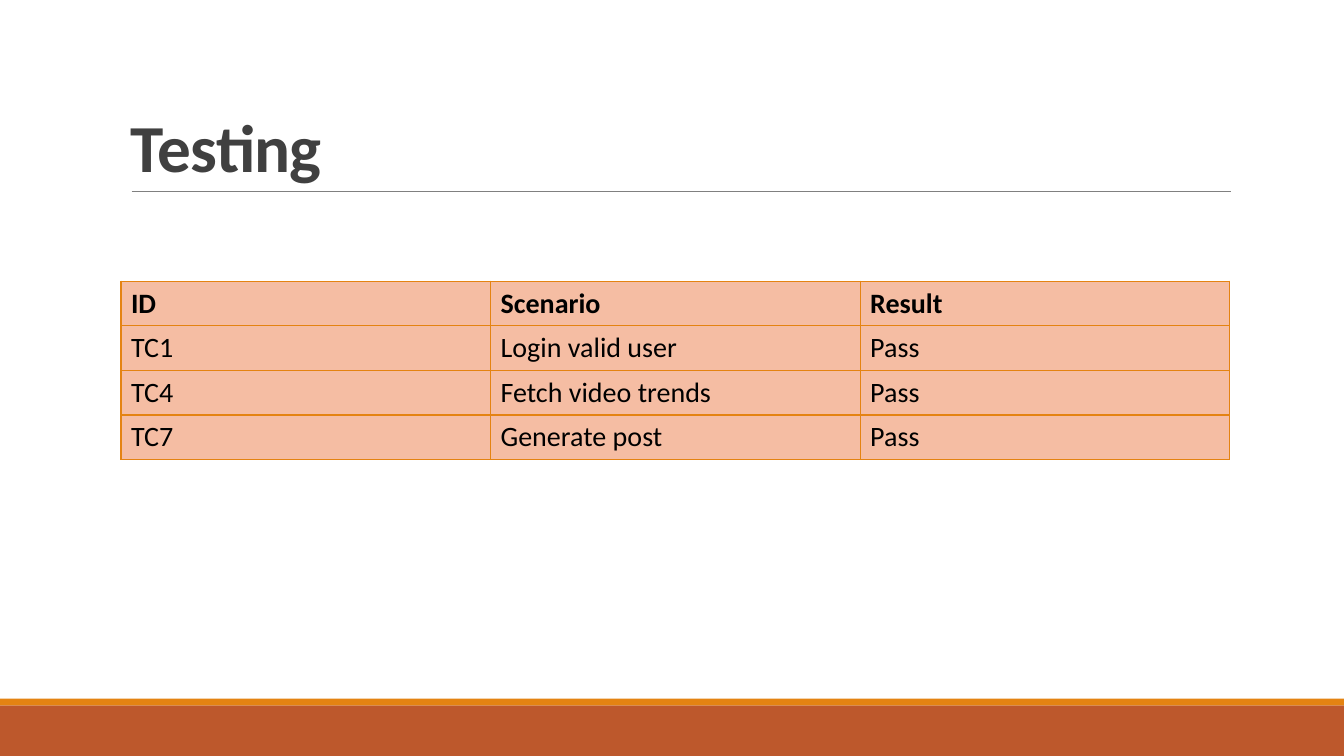
from dataclasses import dataclass

from lxml import etree
from pptx import Presentation
from pptx import util as u
from pptx.dml.color import RGBColor
from pptx.enum import shapes, text
from pptx.oxml import ns

WIDTH, HEIGHT = u.Inches(13.33), u.Inches(7.5)
FONT = "Calibri"
COLORS = {
    "rust": "BD582C",
    "orange": "E48312",
    "rule": "808080",
    "title": "404040",
    "cell": "F5BDA3",
    "text": "000000",
}

# Shares of the slide's size
LEFT, CONTENT_WIDTH = 0.09, 0.825
RULE_LEFT, RULE_RIGHT, RULE_TOP = 0.098, 0.916, 0.253
TITLE_TOP = 0.041
TABLE_TOP, ROW_HEIGHT = 0.372, 0.059


@dataclass(frozen=True)
class Band:
    top: float
    height: float
    color: str


BANDS = [Band(0.933, 0.067, "rust"), Band(0.924, 0.009, "orange")]

TEST_CASES = [
    ("ID", "Scenario", "Result"),
    ("TC1", "Login valid user", "Pass"),
    ("TC4", "Fetch video trends", "Pass"),
    ("TC7", "Generate post", "Pass"),
]


def across(share: float) -> int:
    return round(WIDTH * share)


def down(share: float) -> int:
    return round(HEIGHT * share)


def rgb(name: str) -> RGBColor:
    return RGBColor.from_string(COLORS[name])


def add_run(paragraph, words: str, size: float, color: str, bold: bool):
    run = paragraph.add_run()
    run.text = words
    run.font.name = FONT
    run.font.size = u.Pt(size)
    run.font.bold = bold
    run.font.color.rgb = rgb(color)
    return run


def draw_band(slide, band: Band) -> None:
    shape = slide.shapes.add_shape(
        shapes.MSO_SHAPE.RECTANGLE, 0, down(band.top), WIDTH, down(band.height))
    shape.shadow.inherit = False
    shape.fill.solid()
    shape.fill.fore_color.rgb = rgb(band.color)
    shape.line.fill.background()


def draw_rule(slide) -> None:
    rule = slide.shapes.add_connector(
        shapes.MSO_CONNECTOR.STRAIGHT, across(RULE_LEFT), down(RULE_TOP),
        across(RULE_RIGHT), down(RULE_TOP))
    rule.line.color.rgb = rgb("rule")
    rule.line.width = u.Pt(0.5)
    etree.SubElement(rule._element.spPr, ns.qn("a:effectLst"))


def draw_title(slide, words: str) -> None:
    box = slide.shapes.add_textbox(
        across(LEFT), down(TITLE_TOP), across(CONTENT_WIDTH),
        down(RULE_TOP - TITLE_TOP))
    frame = box.text_frame
    frame.word_wrap = True
    frame.vertical_anchor = text.MSO_ANCHOR.BOTTOM
    paragraph = frame.paragraphs[0]
    paragraph.line_spacing = 0.85
    run = add_run(paragraph, words, 48, "title", True)
    run.font._element.set("spc", "-50")


def add_borders(cell, color: str, width: float) -> None:
    properties = cell._tc.get_or_add_tcPr()
    for index, side in enumerate(("lnL", "lnR", "lnT", "lnB")):
        line = etree.Element(ns.qn(f"a:{side}"), w=str(u.Pt(width)))
        fill = etree.SubElement(line, ns.qn("a:solidFill"))
        etree.SubElement(fill, ns.qn("a:srgbClr"), val=COLORS[color])
        properties.insert(index, line)


def draw_table(slide, rows: list[tuple[str, ...]]) -> None:
    table = slide.shapes.add_table(
        len(rows), len(rows[0]), across(LEFT), down(TABLE_TOP),
        across(CONTENT_WIDTH), down(ROW_HEIGHT * len(rows))).table
    for row_index, row in enumerate(rows):
        for column_index, words in enumerate(row):
            cell = table.cell(row_index, column_index)
            cell.vertical_anchor = text.MSO_ANCHOR.MIDDLE
            cell.fill.solid()
            cell.fill.fore_color.rgb = rgb("cell")
            add_borders(cell, "orange", 1)
            add_run(cell.text_frame.paragraphs[0], words, 20, "text",
                    row_index == 0)


def main() -> None:
    presentation = Presentation()
    presentation.slide_width, presentation.slide_height = WIDTH, HEIGHT
    slide = presentation.slides.add_slide(presentation.slide_layouts[6])

    # Footer bands and title rule
    for band in BANDS:
        draw_band(slide, band)
    draw_rule(slide)

    # Title and test results
    draw_title(slide, "Testing")
    draw_table(slide, TEST_CASES)

    presentation.save("out.pptx")


if __name__ == "__main__":
    main()
